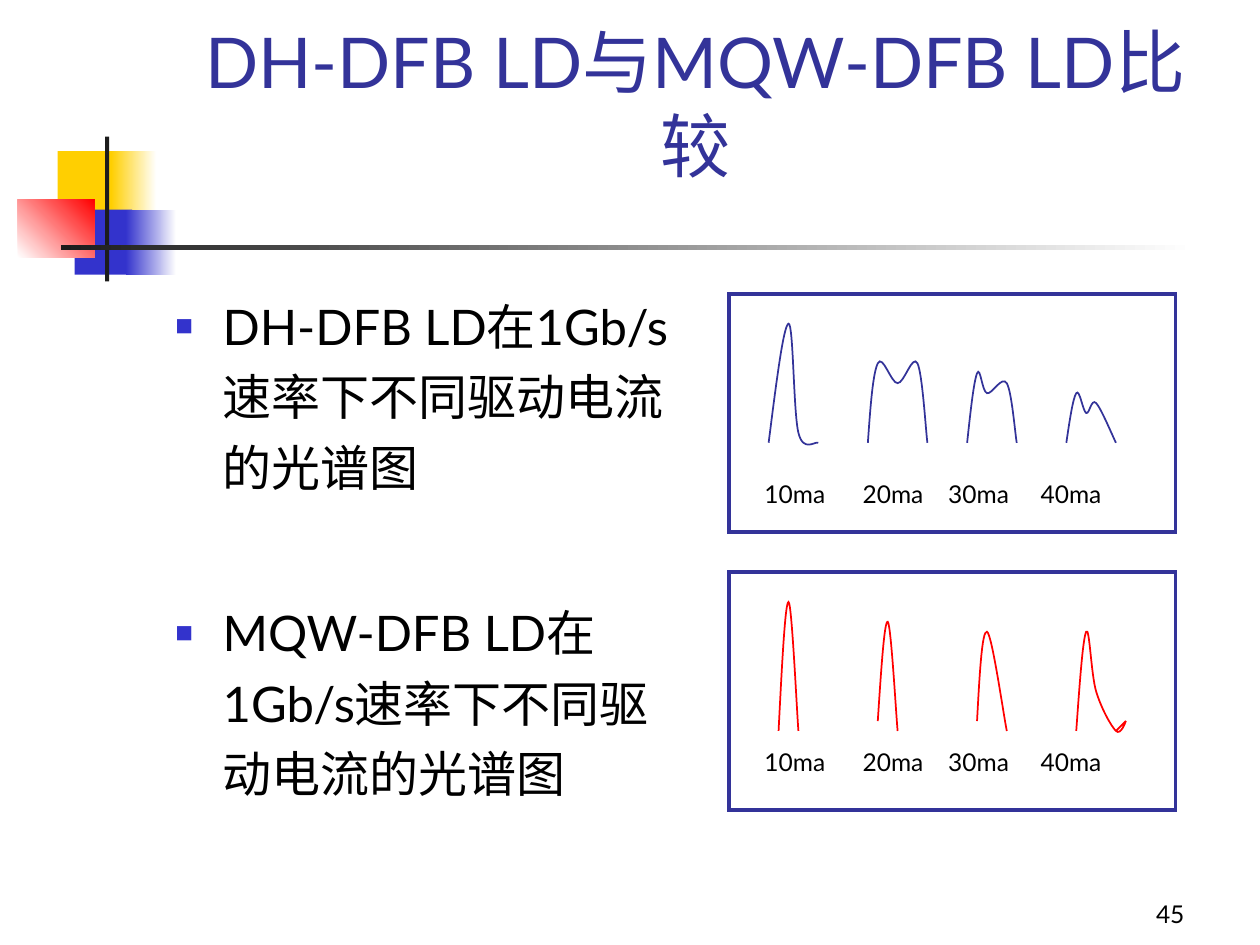
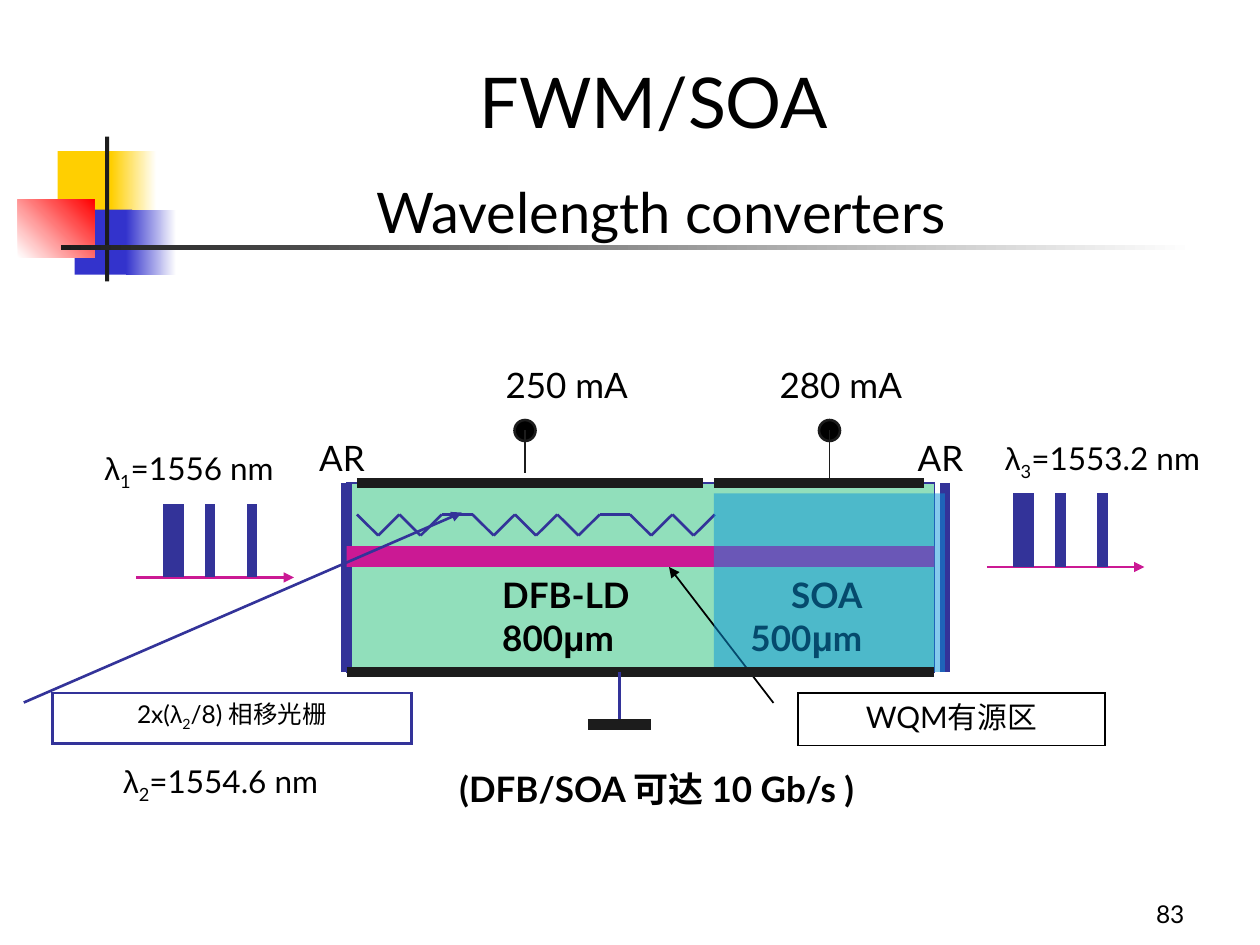
from itertools import pairwise

from lxml.etree import SubElement
from pptx import Presentation
from pptx.dml.color import RGBColor
from pptx.enum.shapes import MSO_CONNECTOR, MSO_SHAPE
from pptx.enum.text import MSO_ANCHOR, MSO_AUTO_SIZE, PP_ALIGN
from pptx.oxml.ns import qn
from pptx.util import Inches, Pt

NAVY = RGBColor(0x33, 0x33, 0x99)
BLUE = RGBColor(0x33, 0x33, 0xCC)
GOLD = RGBColor(0xFF, 0xCF, 0x01)
RED = RGBColor(0xFF, 0x00, 0x00)
INK = RGBColor(0x1C, 0x1C, 0x1C)
BLACK = RGBColor(0x00, 0x00, 0x00)
WHITE = RGBColor(0xFF, 0xFF, 0xFF)
GREEN = RGBColor(0x24, 0xC0, 0x79)
PINK = RGBColor(0xCB, 0x19, 0x94)
SKY = RGBColor(0x0A, 0x95, 0xDA)

FONT, GREEK = "Lato", "Arial"
COLS, ROWS = 120, 90  # cells of a twelfth of an inch
MARK = 0.945  # step of the spectrum plots, in cells
LEFT, MID, RIGHT = PP_ALIGN.LEFT, PP_ALIGN.CENTER, PP_ALIGN.RIGHT


def cells(*sizes):
    return [round(Inches(size / 12)) for size in sizes]


def add_tabs(para, stops):
    props = para._p.get_or_add_pPr()
    tabs = SubElement(props, qn("a:tabLst"))
    for kind, col in stops:
        SubElement(tabs, qn("a:tab"), pos=str(cells(col)[0]), algn=kind)


def add_bullet(para):
    props = para._p.get_or_add_pPr()
    dent = cells(4.5)[0]
    props.set("marL", str(dent))
    props.set("indent", str(-dent))
    tint = SubElement(props, qn("a:buClr"))
    SubElement(tint, qn("a:srgbClr"), val=str(BLUE))
    SubElement(props, qn("a:buSzPct"), val="60000")
    SubElement(props, qn("a:buFont"), typeface=GREEK)
    SubElement(props, qn("a:buChar"), char="■")


def write(frame, *paras, size=20, color=BLACK, bold=False, align=MID,
          anchor=MSO_ANCHOR.TOP, lead=None, gap=0, tabs=(), bullet=False):
    """Each paragraph is a tuple of runs; a leading _ makes a subscript."""
    frame.word_wrap = True
    frame.auto_size = MSO_AUTO_SIZE.NONE
    frame.vertical_anchor = anchor
    frame.margin_left = frame.margin_right = Inches(0.1)
    frame.margin_top = frame.margin_bottom = Inches(0.05)
    for num, runs in enumerate(paras):
        para = frame.add_paragraph() if num else frame.paragraphs[0]
        if bullet:
            add_bullet(para)
        if tabs:
            add_tabs(para, tabs)
        para.alignment = align
        para.space_before = Pt(gap if num else 0)
        if lead:
            para.line_spacing = lead
        for part in runs:
            run = para.add_run()
            run.text = part.lstrip("_")
            font = run.font
            font.name = GREEK if part in ("λ", "μ") else FONT
            font.size, font.bold = Pt(size), bold
            font.color.rgb = color
            if part.startswith("_"):
                run._r.get_or_add_rPr().set("baseline", "-25000")


def label(slide, box, *paras, **form):
    write(slide.shapes.add_textbox(*cells(*box)).text_frame, *paras, **form)


def fill_in(holder, box, *paras, **form):
    holder.left, holder.top, holder.width, holder.height = cells(*box)
    write(holder.text_frame, *paras, **form)


def set_line(shape, color, width, head=False):
    shape.line.color.rgb = color
    shape.line.width = Pt(width)
    props = shape.line._get_or_add_ln()
    SubElement(props, qn("a:miter"), lim="800000")
    if head:
        SubElement(props, qn("a:tailEnd"), type="triangle")


def block(slide, box, fill=None, fade=None, angle=0, alpha=None,
          line=None, width=1, kind=MSO_SHAPE.RECTANGLE):
    """Preset shape, with a plain fill or one that fades to a second colour."""
    shape = slide.shapes.add_shape(kind, *cells(*box))
    shape.shadow.inherit = False
    if fade is not None:
        shape.fill.gradient()
        shape.fill.gradient_angle = angle
        for stop, color in zip(shape.fill.gradient_stops, (fill, fade)):
            stop.color.rgb = color
    elif fill is not None:
        shape.fill.solid()
        shape.fill.fore_color.rgb = fill
        if alpha:
            tint = shape.element.spPr.find(".//" + qn("a:srgbClr"))
            SubElement(tint, qn("a:alpha"), val=str(alpha * 1000))
    else:
        shape.fill.background()
    if line is None:
        shape.line.fill.background()
    else:
        set_line(shape, line, width)
    return shape


def stroke(slide, start, end, color=NAVY, width=6, head=False):
    line = slide.shapes.add_connector(
        MSO_CONNECTOR.STRAIGHT, *cells(*start, *end))
    set_line(line, color, width, head)
    SubElement(line.element.spPr, qn("a:effectLst"))


def smooth(knots):
    """First knot, then two controls and a knot for each cubic segment."""
    last = len(knots) - 1

    def slope(num):
        near, far = knots[max(num - 1, 0)], knots[min(num + 1, last)]
        return [(b - a) / 6 for a, b in zip(near, far)]

    points = [knots[0]]
    for num, (start, end) in enumerate(pairwise(knots)):
        inner = [e - s for e, s in zip(end, slope(num + 1))]
        outer = [p + s for p, s in zip(start, slope(num))]
        if num == 0:
            outer = [(p + q) / 2 for p, q in zip(start, inner)]
        points += [outer, inner, end]
    return points


def curve(slide, left, base, knots, color):
    points = [cells(left + x * MARK, base - y * MARK) for x, y in smooth(knots)]
    pen = slide.shapes.build_freeform(*points[0])
    pen.add_line_segments(points[1:], close=False)
    shape = pen.convert_to_shape()
    outline = shape.element.spPr.find(".//" + qn("a:path"))
    legs = outline.findall(qn("a:lnTo"))
    for num, leg in enumerate(legs):
        if num % 3 == 0:
            bend = SubElement(outline, qn("a:cubicBezTo"))
        bend.append(leg[0])
        outline.remove(leg)
    shape.shadow.inherit = False
    shape.fill.background()
    set_line(shape, color, 1)


def plot(slide, top, base, drop, curves, color):
    """Framed row of spectra, with the drive currents below."""
    left = 69.43
    for knots in curves:
        curve(slide, left + 4 * MARK, top + base * MARK, knots, color)
    block(slide, (left, top, 45 * MARK, 24 * MARK), line=NAVY, width=2.25)
    label(slide, (left + MARK, top + (base + drop) * MARK, 43 * MARK, 4),
          ("\t10ma\t20ma\t30ma\t40ma",), size=14, align=LEFT,
          tabs=[("ctr", col) for col in (4.15, 13.5, 21.65, 30.45)])


def emblem(deck, slide):
    """Draws the squares and rules and moves them to the master."""
    parts = [
        block(slide, (5.5, 14.4, 5.8, 6.2), GOLD),
        block(slide, (10.6, 14.4, 4.3, 6.2), GOLD, WHITE),
        block(slide, (7.1, 19.97, 5.5, 6.2), BLUE),
        block(slide, (12, 19.97, 4.8, 6.2), BLUE, WHITE),
        block(slide, (1.7, 19, 7.3, 5.5), WHITE, RED, 45),
        block(slide, (10, 13, 0.4, 13.8), INK),
        block(slide, (5.8, 23.35, 108, 0.42), INK, WHITE),
    ]
    for num, part in enumerate(parts, 20):
        part.element.nvSpPr.cNvPr.set("id", str(num))
        deck.slide_master.shapes.element.append(part.element)


def page(slide, num):
    label(slide, (89, 83, 25, 6), (num,), size=14, align=RIGHT,
          anchor=MSO_ANCHOR.BOTTOM)


def callout(slide, box, points, color, width, runs, size):
    shape = block(slide, box, kind=MSO_SHAPE.LINE_CALLOUT_1)
    for num, value in enumerate(points):
        shape.adjustments[num] = value
    set_line(shape, color, width, head=True)
    write(shape.text_frame, runs, size=size)


def pulses(slide, left, base):
    stroke(slide, (left, base), (left + 15, base), PINK, 1.5, head=True)
    for col in (3, 4, 7, 11):
        stroke(slide, (left + col, base - 7), (left + col, base))


def grating(slide):
    points = []
    for start, teeth in ((34, 2), (45, 3), (60, 2)):
        points += [(start + 2.02 * num, 51 if num % 2 else 49)
                   for num in range(2 * teeth + 1)]
    for start, end in pairwise(points):
        stroke(slide, start, end, width=1.5)


def compare(slide):
    title, body = slide.placeholders
    fill_in(title, (15.1, 3.4, 102.2, 15), ("DH-DFB LD与MQW-DFB LD比较",),
            size=40, color=NAVY, anchor=MSO_ANCHOR.BOTTOM)
    fill_in(body, (15.5, 26.5, 50.2, 54),
            *((f"{kind}-DFB LD在1Gb/s速率下不同驱动电流的光谱图",)
              for kind in ("DH", "MQW")),
            size=28, align=LEFT, lead=1.2, gap=54, bullet=True)
    plot(slide, 28, 15, 3, [
        [(0, 0), (2, 12), (3, 1), (5, 0)],
        [(10, 0), (11, 8), (13, 6), (15, 8), (16, 0)],
        [(20, 0), (21, 7), (22, 5), (24, 6), (25, 0)],
        [(30, 0), (31, 5), (32, 3), (33, 4), (35, 0)],
    ], NAVY)
    plot(slide, 54.5, 16, 1, [
        [(1, 0), (2, 13), (3, 0)],
        [(11, 1), (12, 11), (13, 0)],
        [(21, 1), (22, 10), (24, 0)],
        [(31, 0), (32, 10), (33, 4), (35, 0), (36, 1), (35, 0)],
    ], RED)
    page(slide, "45")


def convert(slide):
    title = slide.shapes.title
    fill_in(title, (31, 5, 64, 28.7), ("FWM/SOA ",), ("Wavelength converters",),
            size=40, gap=20)
    title.text_frame.paragraphs[1].runs[0].font.size = Pt(32)

    block(slide, (33, 46, 56, 18), GREEN, alpha=50, line=NAVY)
    for col in (33, 90):
        stroke(slide, (col, 46), (col, 64))
    grating(slide)
    for start, end in ((34, 67), (68, 88)):
        stroke(slide, (start, 46), (end, 46), INK)
    block(slide, (33, 52, 56, 2), PINK)
    callout(slide, (76, 66, 29.25, 5), (0.19, -0.08, -2.4, -0.42),
            BLACK, 1, ("WQM有源区",), 17)
    callout(slide, (5, 66, 34.2, 4.8), (0.19, -0.08, -3.58, 1.14),
            NAVY, 1.5, ("2x(", "λ", "_2", "/8) 相移光栅"), 14)
    label(slide, (42, 55.8, 46, 7.3), ("\tDFB-LD\tSOA",),
          ("\t800", "μ", "m\t500", "μ", "m"), bold=True, align=LEFT,
          lead=0.5, gap=12.5, tabs=[("l", 4.65), ("r", 38.95)])
    for col in (29, 86):
        label(slide, (col, 41, 8, 5.3), ("AR ",))
    pulses(slide, 13, 55)
    pulses(slide, 94, 54)
    for box, num, wave in (((8, 42.2, 20, 5.3), "_1", "1556"),
                           ((92, 41.2, 26, 5.3), "_3", "1553.2"),
                           ((7, 72, 28, 5.3), "_2", "1554.6")):
        label(slide, box, ("λ", num, f"={wave} nm"), size=18)
    label(slide, (40.9, 73, 43.3, 4.8), ("(DFB/SOA 可达 10 Gb/s )",),
          bold=True, lead=0.9)
    block(slide, (68, 47, 22, 17), SKY, alpha=50)

    stroke(slide, (33, 64), (89, 64), INK)
    stroke(slide, (59, 64), (59, 69), width=2.25)
    stroke(slide, (56, 69), (62, 69), INK)
    for col, end in ((50, 45), (79, 46)):
        block(slide, (col - 1, 40, 2, 2), BLACK, line=INK, width=1.5,
              kind=MSO_SHAPE.OVAL)
        stroke(slide, (col, 41), (col, end), INK, 1)
    label(slide, (41, 34, 52, 5.3), ("\t250 mA\t280 mA",), align=LEFT,
          tabs=[("ctr", 11.8), ("ctr", 37.9)])
    page(slide, "83")


def main():
    deck = Presentation()
    deck.slide_width, deck.slide_height = cells(COLS, ROWS)
    first = deck.slides.add_slide(deck.slide_layouts[1])
    emblem(deck, first)
    compare(first)
    convert(deck.slides.add_slide(deck.slide_layouts[5]))
    deck.save("out.pptx")


if __name__ == "__main__":
    main()
